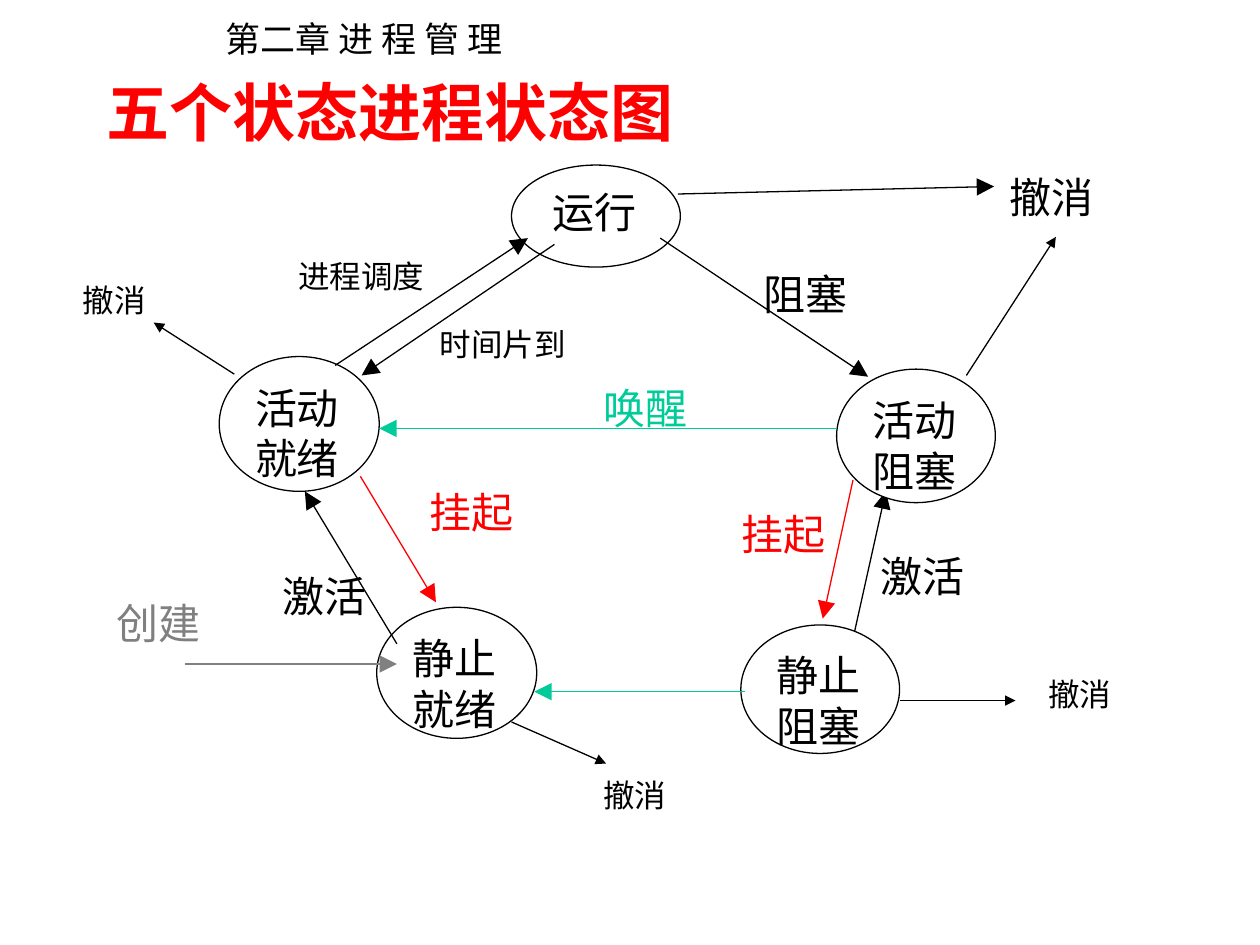
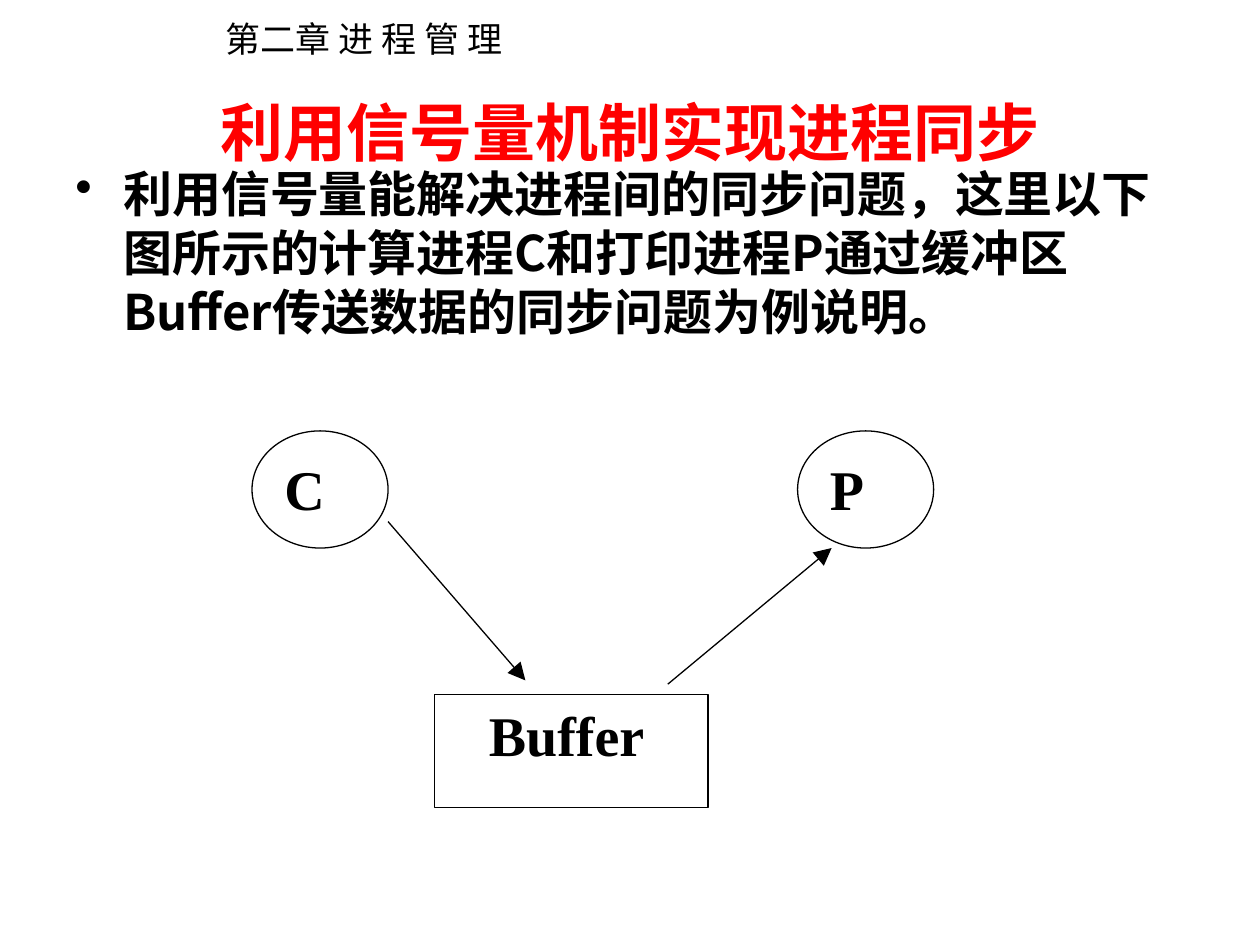
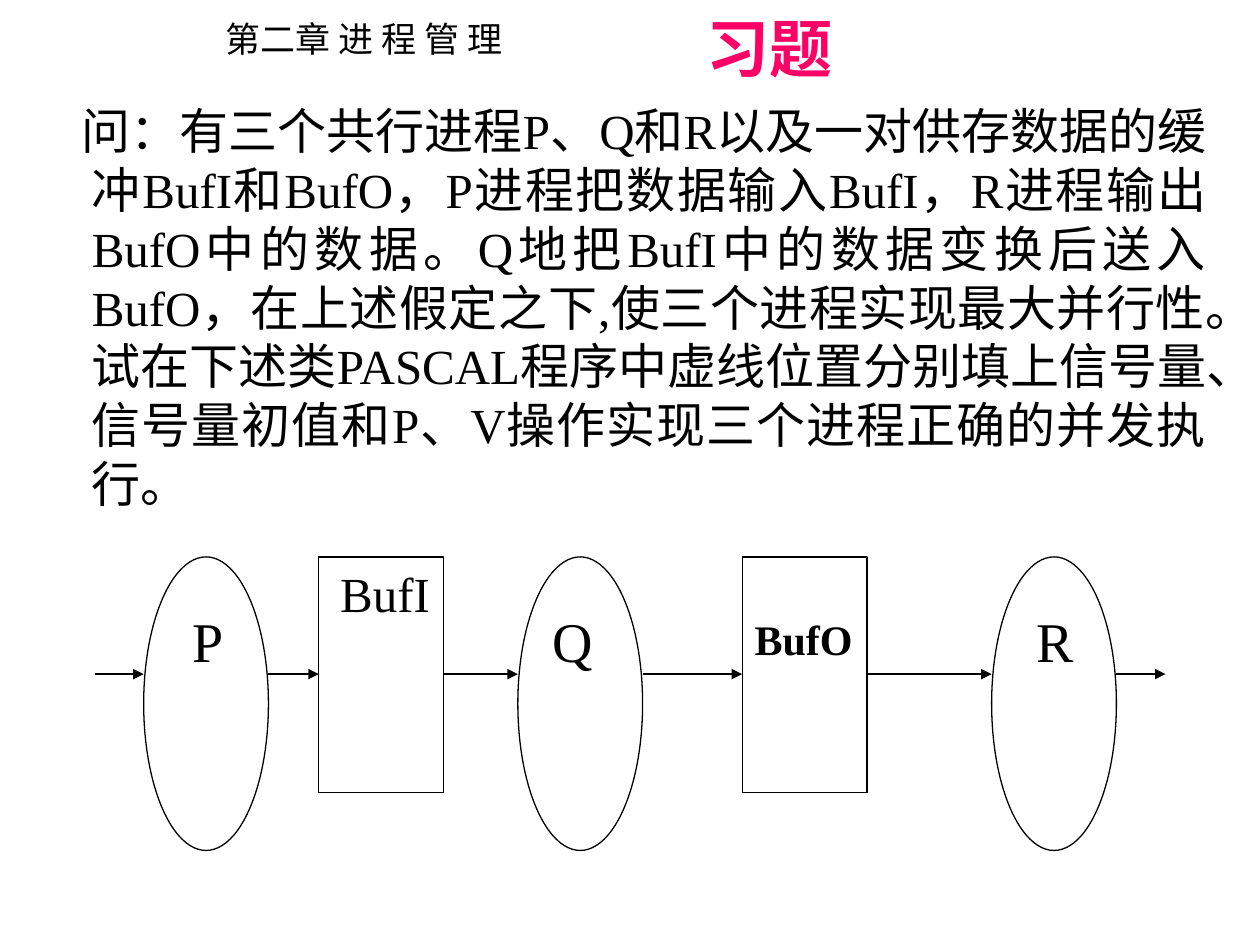
"""Build three slides on process states, semaphores and a buffer exercise."""
from dataclasses import dataclass
from typing import Optional

from lxml import etree
from pptx import Presentation
from pptx import util as u
from pptx.dml.color import RGBColor
from pptx.enum import shapes, text
from pptx.oxml import ns

COLORS = {
    "black": "000000",
    "white": "FFFFFF",
    "red": "FF0000",
    "pink": "FF0066",
    "green": "00CC99",
    "gray": "808080",
}
SANS = "Noto Sans CJK SC"
SERIF = "Times New Roman"
LINE_WIDTH = u.Pt(0.75)
OVAL = shapes.MSO_SHAPE.OVAL
BOX = shapes.MSO_SHAPE.RECTANGLE
LEFT, CENTER, JUSTIFY = text.PP_ALIGN.LEFT, text.PP_ALIGN.CENTER, text.PP_ALIGN.JUSTIFY


@dataclass
class Label:
    """Text in a place, with an outline when kind is given."""
    words: str
    left: float
    top: float
    width: float
    height: float = 0.5
    size: int = 24
    color: str = "black"
    font: str = SANS
    bold: bool = False
    align: text.PP_ALIGN = LEFT
    anchor: text.MSO_ANCHOR = text.MSO_ANCHOR.TOP
    inset_left: float = 0.1
    inset_top: float = 0.05
    margin: float = 0
    indent: float = 0
    bullet: bool = False
    wrap: bool = True
    kind: Optional[shapes.MSO_SHAPE] = None


@dataclass
class Arrow:
    """A straight arrow from one point to another."""
    x1: float
    y1: float
    x2: float
    y2: float
    color: str = "black"
    head: str = "lg"


def rgb(name: str) -> RGBColor:
    """Return the named colour."""
    return RGBColor.from_string(COLORS[name])


def add_xml(parent, tag: str, **attributes: str):
    """Append a DrawingML element and return it."""
    return etree.SubElement(parent, ns.qn(tag), attributes)


def draw_label(slide, label: Label) -> None:
    """Draw one label as a text box or an outlined shape."""
    place = [u.Inches(n) for n in (label.left, label.top, label.width, label.height)]
    if label.kind is None:
        holder = slide.shapes.add_textbox(*place)
    else:
        holder = slide.shapes.add_shape(label.kind, *place)
        holder.shadow.inherit = False
        holder.fill.solid()
        holder.fill.fore_color.rgb = rgb("white")
        holder.line.color.rgb = rgb("black")
        holder.line.width = LINE_WIDTH
    frame = holder.text_frame
    frame.word_wrap = label.wrap
    frame.vertical_anchor = label.anchor
    frame.margin_left, frame.margin_top = u.Inches(label.inset_left), u.Inches(label.inset_top)
    frame.text = label.words
    paragraph = frame.paragraphs[0]
    paragraph.alignment = label.align
    paragraph.line_spacing = u.Pt(1.2 * label.size)
    properties = paragraph._p.get_or_add_pPr()
    if label.margin:
        properties.set("marL", str(u.Inches(label.margin)))
        properties.set("indent", str(u.Inches(label.indent)))
    if label.bullet:
        add_xml(add_xml(properties, "a:buClr"), "a:srgbClr", val=COLORS[label.color])
        add_xml(properties, "a:buChar", char="•")
    for run in paragraph.runs:
        run.font.size = u.Pt(label.size)
        run.font.bold = label.bold
        run.font.color.rgb = rgb(label.color)
        run.font.name = label.font
        add_xml(run._r.get_or_add_rPr(), "a:ea", typeface=SANS)


def draw_arrow(slide, arrow: Arrow) -> None:
    """Draw one arrow with a filled triangular head."""
    ends = [u.Inches(n) for n in (arrow.x1, arrow.y1, arrow.x2, arrow.y2)]
    connector = slide.shapes.add_connector(shapes.MSO_CONNECTOR.STRAIGHT, *ends)
    connector.line.color.rgb = rgb(arrow.color)
    connector.line.width = LINE_WIDTH
    add_xml(connector.line._get_or_add_ln(), "a:tailEnd",
            type="triangle", w=arrow.head, len=arrow.head)
    add_xml(connector._element.spPr, "a:effectLst")


def draw(slide, parts: list) -> None:
    """Draw labels and arrows from back to front."""
    for part in parts:
        if isinstance(part, Arrow):
            draw_arrow(slide, part)
        else:
            draw_label(slide, part)


def title(words: str, left: float, top: float, height: float = 0.75, **style) -> Label:
    """Return a slide title in the shared style."""
    style = {"color": "red", "align": CENTER, **style}
    return Label(words, left, top, 8.5, height, size=36, bold=True,
                 anchor=text.MSO_ANCHOR.MIDDLE, **style)


def state(words: str, left: float, top: float, width: float, height: float, **style) -> Label:
    """Return an oval process state."""
    return Label(words, left, top, width, height, kind=OVAL, **style)


def note(words: str, left: float, top: float, width: float = 1, **style) -> Label:
    """Return a small transition label."""
    return Label(words, left, top, width, 0.4, size=18, font=SERIF, **style)


def new_slide(deck):
    """Add a blank slide with the chapter header."""
    slide = deck.slides.add_slide(deck.slide_layouts[6])
    draw_label(slide, Label("第二章 进 程 管 理", 1.69, 0.09, 2.64, 0.44, size=20, wrap=False))
    return slide


def build_state_diagram(deck) -> None:
    """Draw the five-state process diagram."""
    draw(new_slide(deck), [
        title("五个状态进程状态图", 0.75, 0.67, 0.42, align=LEFT),
        Arrow(6.77, 5.07, 7.03, 3.9),
        Arrow(6.77, 3.81, 6.53, 4.91, "red"),
        state("活动就绪", 1.74, 2.83, 1.27, 1.07, font=SERIF),
        state("静止就绪", 2.99, 4.82, 1.27, 1.04, font=SERIF),
        state("活动阻塞", 6.64, 2.93, 1.26, 1.06, font=SERIF),
        state("运行", 4.06, 1.31, 1.34, 0.81, inset_left=0.13),
        state("静止阻塞", 5.88, 4.96, 1.26, 1.02, font=SERIF),
        Arrow(5.91, 5.49, 4.24, 5.49, "green"),
        Arrow(2.86, 3.78, 3.46, 4.78, "red"),
        Arrow(3.15, 5.11, 2.42, 3.9),
        Arrow(6.64, 3.4, 3.01, 3.4, "green"),
        Arrow(5.24, 1.89, 6.89, 2.99),
        Arrow(2.66, 2.9, 4.19, 1.89),
        Arrow(4.4, 1.94, 2.87, 2.98),
        Arrow(5.38, 1.54, 7.89, 1.48),
        Arrow(1.47, 5.27, 3.15, 5.27, "gray"),
        Arrow(7.67, 2.98, 8.38, 1.88, head="med"),
        Arrow(7.14, 5.56, 8.06, 5.56, head="med"),
        Arrow(4.06, 5.73, 4.81, 6.06, head="med"),
        Arrow(1.86, 2.97, 1.22, 2.56, head="med"),
        Label("创建", 0.83, 4.69, 0.9, color="gray"),
        Label("阻塞", 5.96, 2.08, 1),
        Label("唤醒", 4.69, 2.99, 0.92, color="green"),
        Label("挂起", 3.31, 3.81, 1.17, color="red"),
        Label("挂起", 5.79, 3.99, 1.17, color="red"),
        Label("激活", 6.89, 4.32, 0.92),
        Label("激活", 2.14, 4.48, 0.92),
        Label("撤消", 7.91, 1.31, 0.92, font=SERIF),
        note("撤消", 4.69, 6.11),
        note("撤消", 8.22, 5.31),
        note("撤消", 0.56, 2.18, 0.92),
        note("进程调度", 2.24, 1.99, 1.25, align=CENTER),
        note("时间片到", 3.39, 2.53, 1.33),
    ])


def build_synchronisation(deck) -> None:
    """Draw the two processes that share one buffer."""
    process = {"size": 32, "font": SERIF, "bold": True}
    draw(new_slide(deck), [
        title("利用信号量机制实现进程同步", 0.75, 0.67, font=SERIF),
        Label("利用信号量能解决进程间的同步问题，这里以下图所示的计算进程C和打印进程P"
              "通过缓冲区Buffer传送数据的同步问题为例说明。",
              0.5, 1.25, 8.94, 5.92, size=28, bold=True,
              margin=0.38, indent=-0.38, bullet=True),
        Label("Buffer", 3.45, 5.51, 2.17, 0.9, kind=BOX, inset_left=0.43, **process),
        state("C", 2, 3.42, 1.08, 0.93, **process),
        state("P", 6.33, 3.42, 1.08, 0.93, **process),
        Arrow(3.08, 4.14, 4.17, 5.4),
        Arrow(5.3, 5.43, 6.6, 4.35),
    ])


def build_exercise(deck) -> None:
    """Draw the exercise and its chain of processes and buffers."""
    top, width, flow = 4.42, 0.99, 5.35
    process = {"height": 2.33, "size": 32, "font": SERIF, "kind": OVAL}
    buffer = {"height": 1.87, "font": SERIF, "kind": BOX}
    chain = [
        Label("P", 1.14, top, width, inset_left=0.24, **process),
        Label("BufI", 2.53, top, width, size=28, inset_left=0.17, **buffer),
        Label("Q", 4.11, top, width, inset_left=0.13, **process),
        Label("BufO", 5.89, top, width, bold=True, inset_top=0.45, **buffer),
        Label("R", 7.87, top, width, inset_left=0.21, **process),
    ]
    starts = [0.75] + [stage.left + width for stage in chain]
    ends = [stage.left for stage in chain] + [9.25]
    draw(new_slide(deck), [
        title("习题", 0.44, 0, color="pink", font=SERIF, inset_left=2.94),
        Label("问：有三个共行进程P、Q和R以及一对供存数据的缓冲BufI和BufO，"
              "P进程把数据输入BufI，R进程输出BufO中的数据。"
              "Q地把BufI中的数据变换后送入BufO，在上述假定之下,使三个进程实现最大并行性。"
              "试在下述类PASCAL程序中虚线位置分别填上信号量、信号量初值和P、V操作"
              "实现三个进程正确的并发执行。",
              0.25, 0.75, 9.42, 6.75, size=28, font=SERIF, align=JUSTIFY,
              margin=0.38, indent=-0.08),
        *chain,
        *(Arrow(x1, flow, x2, flow, head="med") for x1, x2 in zip(starts, ends)),
    ])


def main() -> None:
    """Build and save the deck."""
    deck = Presentation()
    deck.slide_width, deck.slide_height = u.Inches(10), u.Inches(7.5)
    build_state_diagram(deck)
    build_synchronisation(deck)
    build_exercise(deck)
    deck.save("out.pptx")


if __name__ == "__main__":
    main()
